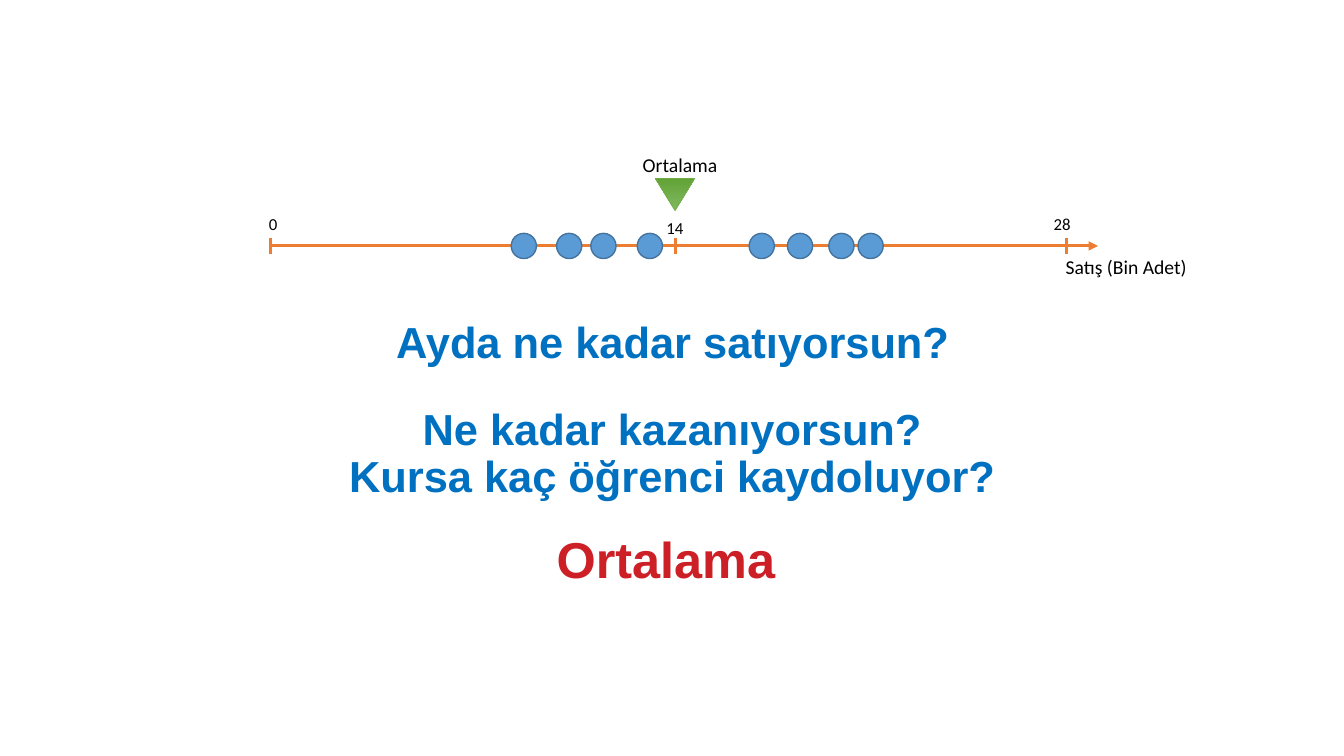
from dataclasses import dataclass

from lxml import etree
from pptx import Presentation
from pptx.dml.color import RGBColor
from pptx.enum.shapes import MSO_CONNECTOR, MSO_SHAPE
from pptx.enum.text import MSO_ANCHOR, PP_ALIGN
from pptx.oxml.ns import qn
from pptx.util import Inches, Pt

STRAIGHT = MSO_CONNECTOR.STRAIGHT
OVAL = MSO_SHAPE.OVAL
TRIANGLE = MSO_SHAPE.ISOSCELES_TRIANGLE
CENTER = PP_ALIGN.CENTER
TOP, BOTTOM = MSO_ANCHOR.TOP, MSO_ANCHOR.BOTTOM


@dataclass(frozen=True)
class Theme:
    """Colours, fonts and type sizes of the slide."""
    axis: str = "ED7D31"
    dot: str = "5B9BD5"
    dot_line: str = "43739E"
    marker_line: str = "70AD47"
    marker_stops: tuple = ("81B861", "62A336")
    black: str = "000000"
    question: str = "0070C0"
    answer: str = "CD1F26"
    body_font: str = "Calibri"
    heading_font: str = "Arial"
    tick_size: int = 12
    label_size: int = 14
    question_size: int = 31
    answer_size: int = 36


def color(value):
    """Turn a hex string into a colour."""
    return RGBColor.from_string(value)


def apply(target, formats):
    """Set each attribute of the target from a dict."""
    for name, value in formats.items():
        setattr(target, name, value)


class SlideBuilder:
    """Draws styled elements on the current slide."""

    def __init__(self, slide, theme):
        """Keep the slide and its theme."""
        self.slide = slide
        self.theme = theme

    def text(self, box, lines, size, ink, heading=False, wrap=False, anchor=TOP):
        """Add a centred text box, one paragraph per line."""
        theme = self.theme
        frame = self.slide.shapes.add_textbox(*map(Inches, box)).text_frame
        apply(frame, {"word_wrap": wrap, "vertical_anchor": anchor, "text": "\n".join(lines)})
        for paragraph in frame.paragraphs:
            apply(paragraph, {"alignment": CENTER, "line_spacing": 0.9 if heading else 1.0})
            font = paragraph.runs[0].font
            apply(font, {
                "name": theme.heading_font if heading else theme.body_font,
                "size": Pt(size),
                "bold": heading,
            })
            font.color.rgb = color(ink)

    def line(self, start, end, arrow=False):
        """Add an axis line, with an arrowhead at its end if asked."""
        points = map(Inches, (*start, *end))
        connector = self.slide.shapes.add_connector(STRAIGHT, *points)
        connector.line.color.rgb = color(self.theme.axis)
        connector.line.width = Pt(2.25)
        if arrow:
            outline = connector.line._get_or_add_ln()
            etree.SubElement(outline, qn("a:tailEnd"), type="triangle")
        etree.SubElement(connector._element.spPr, qn("a:effectLst"))

    def shape(self, kind, box, ink, width):
        """Add an outlined shape without a shadow."""
        shape = self.slide.shapes.add_shape(kind, *map(Inches, box))
        shape.shadow.inherit = False
        shape.line.color.rgb = color(ink)
        shape.line.width = Pt(width)
        return shape

    def dot(self, left, top, size):
        """Add one sales observation."""
        shape = self.shape(OVAL, (left, top, size, size), self.theme.dot_line, 1)
        shape.fill.solid()
        shape.fill.fore_color.rgb = color(self.theme.dot)

    def marker(self, box):
        """Add the gradient triangle that points down at the mean."""
        shape = self.shape(TRIANGLE, box, self.theme.marker_line, 0.5)
        shape.rotation = 180
        shape.fill.gradient()
        shape.fill.gradient_angle = 270
        for stop, ink in zip(shape.fill.gradient_stops, self.theme.marker_stops):
            stop.color.rgb = color(ink)


def main():
    """Build the slide and save it."""
    theme = Theme()
    presentation = Presentation()
    apply(presentation, {"slide_width": Inches(13.33), "slide_height": Inches(7.5)})
    slide = presentation.slides.add_slide(presentation.slide_layouts[6])
    builder = SlideBuilder(slide, theme)

    axis_y, axis_start, axis_end = 2.44, 2.68, 10.89
    tick_reach = 0.08
    builder.line((axis_start, axis_y), (axis_end, axis_y), arrow=True)
    ticks = [("0", axis_start, 2.48, 2.07, 0.46),
             ("14", 6.7, 6.51, 2.11, 0.37),
             ("28", 10.58, 10.35, 2.07, 0.37)]
    for label, x, left, top, width in ticks:
        builder.line((x, axis_y - tick_reach), (x, axis_y + tick_reach))
        builder.text((left, top, width, 0.3), [label], theme.tick_size, theme.black)

    dot_size = 0.25
    for left in (5.07, 5.52, 5.86, 6.32, 7.43, 7.81, 8.22, 8.51):
        builder.dot(left, axis_y - dot_size / 2, dot_size)

    builder.marker((6.5, 1.77, 0.39, 0.32))
    labels = [("Ortalama", (6.27, 1.47, 0.95, 0.34)),
              ("Satış (Bin Adet)", (10.46, 2.48, 1.42, 0.34))]
    for label, box in labels:
        builder.text(box, [label], theme.label_size, theme.black)

    builder.text((3.8, 3.14, 5.74, 0.57), ["Ayda ne kadar satıyorsun?"],
                 theme.question_size, theme.question, heading=True)
    builder.text((3.33, 4, 6.67, 1.04),
                 ["Ne kadar kazanıyorsun?", "Kursa kaç öğrenci kaydoluyor?"],
                 theme.question_size, theme.question, heading=True, wrap=True)
    builder.text((5.09, 5.16, 3.03, 0.74), ["Ortalama"], theme.answer_size,
                 theme.answer, heading=True, wrap=True, anchor=BOTTOM)

    presentation.save("out.pptx")


main()
